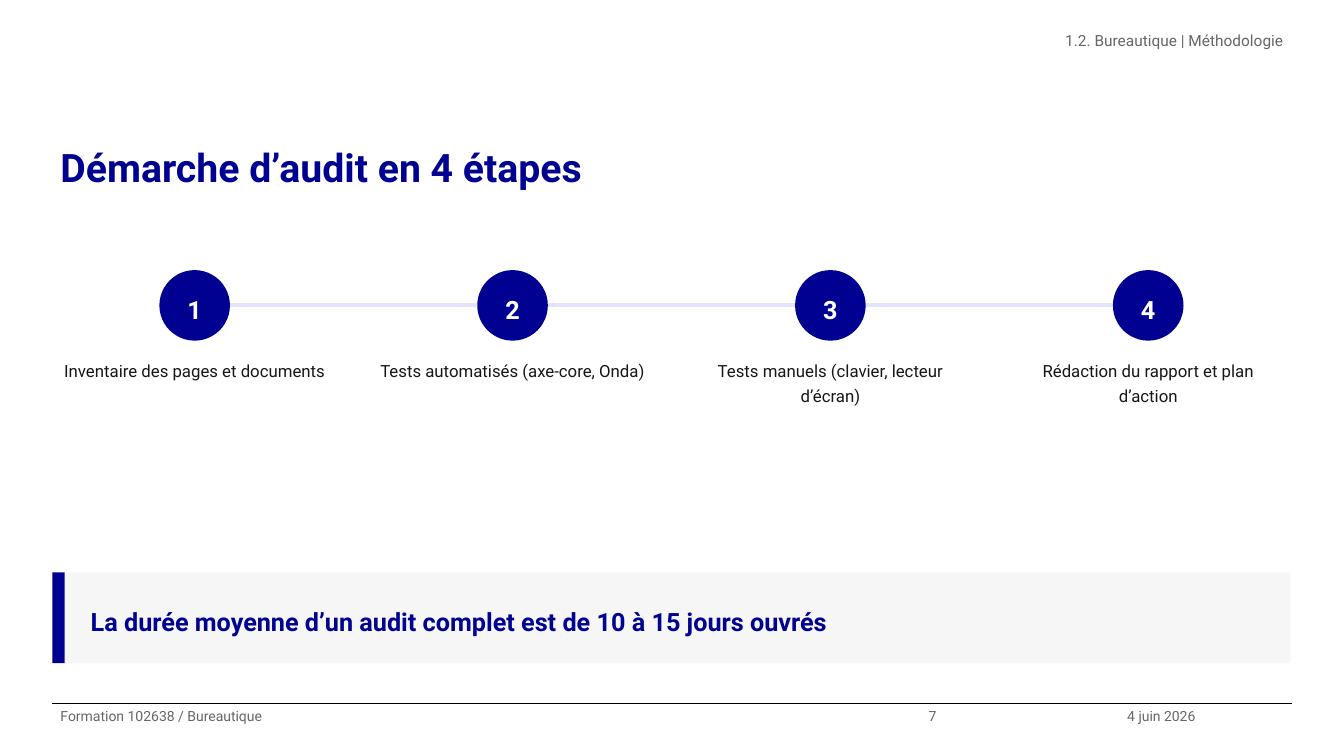
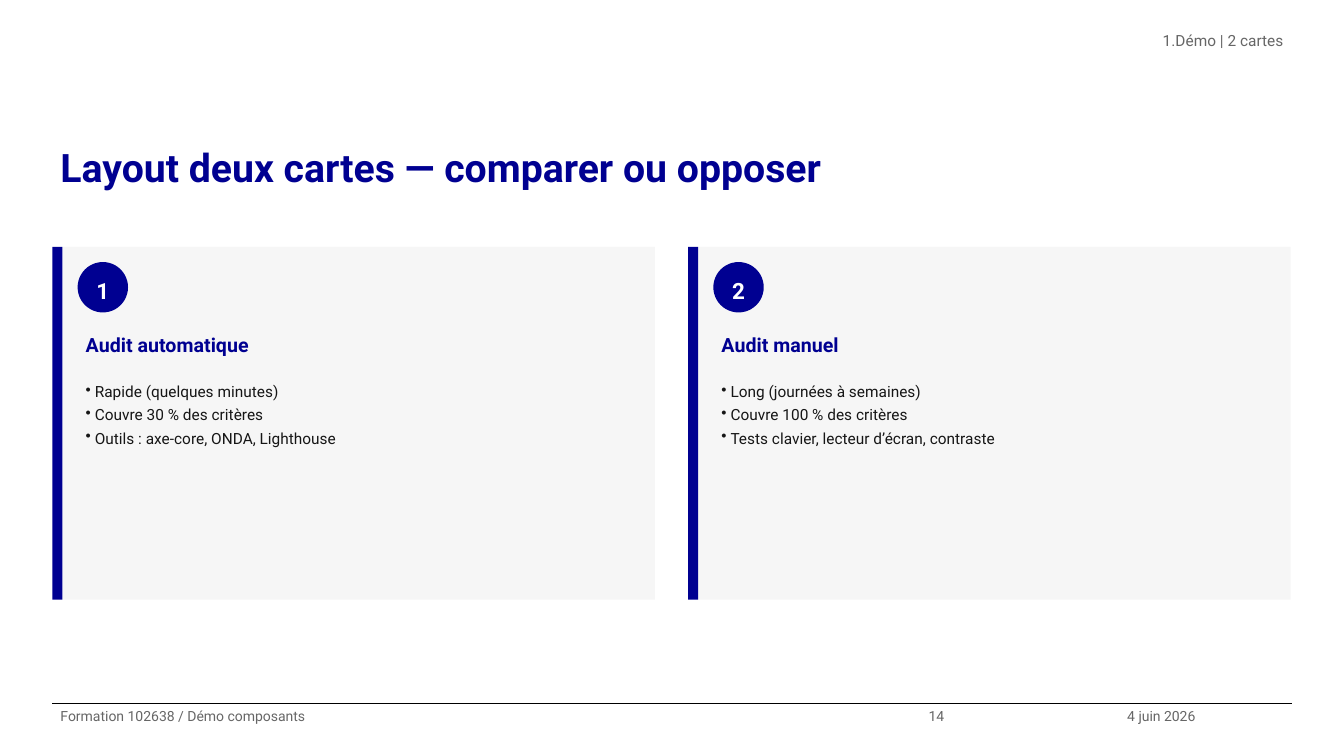
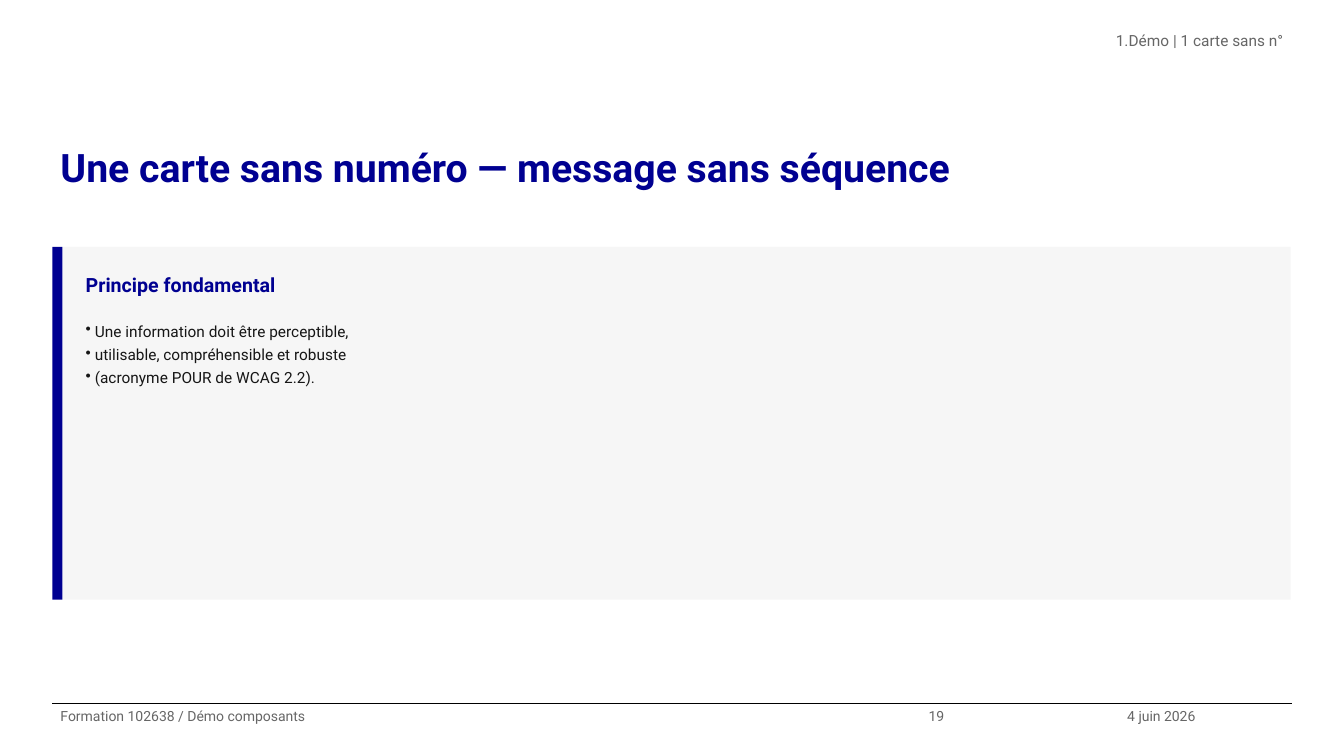
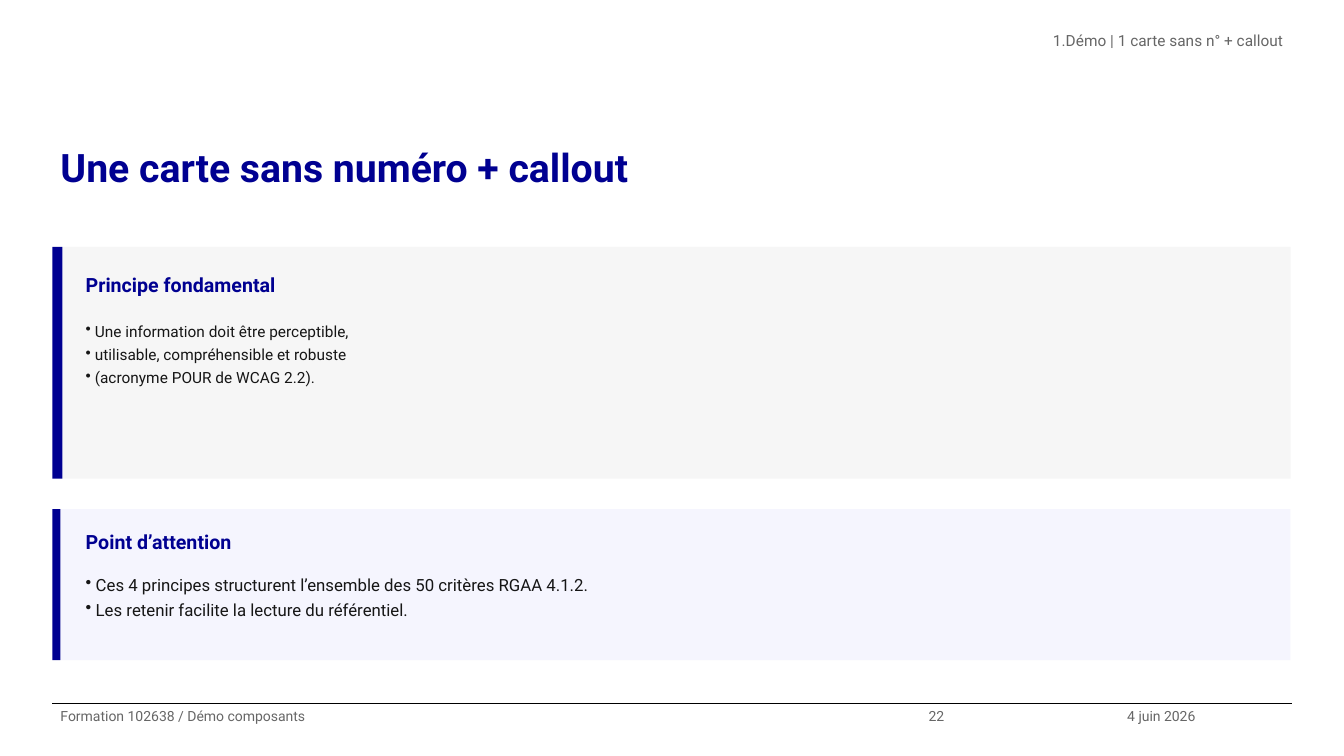
import pptx
import pptx.util
import pptx.dml.color
import pptx.enum.shapes
import pptx.enum.text
import pptx.oxml.ns
import lxml.etree

PX = 9144  # EMU per px, 100 px to the inch
SLIDE_W, SLIDE_H = 1333, 750
LEFT, CONTENT_W, GAP = 52, 1228, 33
CARD_TOP = 245
FONT = "Roboto"
COLORS = {
    "blue": "000091", "pale_blue": "E3E3FD", "panel": "F6F6F6",
    "callout": "F5F5FE", "text": "161616", "grey": "666666",
    "white": "FFFFFF", "black": "000000",
}
DATE = "4 juin 2026"
DEMO = "Formation 102638 / Démo composants"
PRINCIPLE = {
    "heading": "Principe fondamental",
    "points": ["Une information doit être perceptible,",
               "utilisable, compréhensible et robuste",
               "(acronyme POUR de WCAG 2.2)."],
}

SLIDES = [
    {"title": "Démarche d’audit en 4 étapes",
     "section": "2. Bureautique | Méthodologie",
     "footer": "Formation 102638 / Bureautique", "page": 7,
     "steps": ["Inventaire des pages et documents",
               "Tests automatisés (axe-core, Onda)",
               "Tests manuels (clavier, lecteur d’écran)",
               "Rédaction du rapport et plan d’action"],
     "key_message": "La durée moyenne d’un audit complet est de 10 à 15 jours ouvrés"},
    {"title": "Layout deux cartes — comparer ou opposer",
     "section": "Démo | 2 cartes", "footer": DEMO, "page": 14,
     "card_h": 350, "numbered": True,
     "cards": [
         {"heading": "Audit automatique",
          "points": ["Rapide (quelques minutes)", "Couvre 30 % des critères",
                     "Outils : axe-core, ONDA, Lighthouse"]},
         {"heading": "Audit manuel",
          "points": ["Long (journées à semaines)", "Couvre 100 % des critères",
                     "Tests clavier, lecteur d’écran, contraste"]}]},
    {"title": "Une carte sans numéro — message sans séquence",
     "section": "Démo | 1 carte sans n°", "footer": DEMO, "page": 19,
     "card_h": 350, "cards": [PRINCIPLE]},
    {"title": "Une carte sans numéro + callout",
     "section": "Démo | 1 carte sans n° + callout", "footer": DEMO, "page": 22,
     "card_h": 230, "cards": [PRINCIPLE],
     "callout": {
         "heading": "Point d’attention",
         "points": ["Ces 4 principes structurent l’ensemble des 50 critères RGAA 4.1.2.",
                    "Les retenir facilite la lecture du référentiel."]}},
]

ALIGN = pptx.enum.text.PP_ALIGN
ANCHOR = pptx.enum.text.MSO_ANCHOR
SHAPE = pptx.enum.shapes.MSO_SHAPE


def emu(*lengths):
    return [round(length * PX) for length in lengths]


def rgb(color):
    return pptx.dml.color.RGBColor.from_string(COLORS[color])


def add_marker(paragraph, tag, indent, **attributes):
    """Give a paragraph a hanging bullet or number."""
    props = paragraph._p.get_or_add_pPr()
    props.set("marL", str(indent * PX))
    props.set("indent", str(-indent * PX))
    marker = lxml.etree.SubElement(props, pptx.oxml.ns.qn(tag))
    for key, value in attributes.items():
        marker.set(key, value)


def write(shape, lines, size, color, bold=False, align=ALIGN.LEFT,
          anchor=ANCHOR.TOP, pad=5, marker=None):
    frame = shape.text_frame
    frame.word_wrap = True
    frame.vertical_anchor = anchor
    frame.margin_left, frame.margin_right, frame.margin_top, frame.margin_bottom = emu(8, 8, pad, pad)
    for i, line in enumerate(lines):
        paragraph = frame.add_paragraph() if i else frame.paragraphs[0]
        paragraph.text = line
        paragraph.alignment = align
        paragraph.line_spacing = 1.25
        if marker:
            add_marker(paragraph, **marker)
        font = paragraph.font
        font.name, font.size, font.bold = FONT, pptx.util.Pt(size), bold
        font.color.rgb = rgb(color)


def add_text(slide, box, lines, size, color, **style):
    write(slide.shapes.add_textbox(*emu(*box)), lines, size, color, **style)


def add_points(slide, box, points, size):
    add_text(slide, box, points, size, "text",
             marker={"tag": "a:buChar", "indent": 9 if size < 12 else 10, "char": "•"})


def add_block(slide, kind, box, fill):
    block = slide.shapes.add_shape(kind, *emu(*box))
    block.shadow.inherit = False
    block.fill.solid()
    block.fill.fore_color.rgb = rgb(fill)
    block.line.fill.background()
    return block


def add_badge(slide, x, y, diameter, number, size):
    badge = add_block(slide, SHAPE.OVAL, (x, y, diameter, diameter), "blue")
    write(badge, [str(number)], size, "white", bold=True,
          align=ALIGN.CENTER, anchor=ANCHOR.MIDDLE)


def add_panel(slide, x, y, w, h, bar, fill):
    add_block(slide, SHAPE.RECTANGLE, (x + bar, y, w - bar, h), fill)
    add_block(slide, SHAPE.RECTANGLE, (x, y, bar, h), "blue")


def add_line(slide, x1, x2, y, color, width):
    line = slide.shapes.add_connector(
        pptx.enum.shapes.MSO_CONNECTOR.STRAIGHT, *emu(x1, y, x2, y))
    line.line.color.rgb = rgb(color)
    line.line.width = pptx.util.Pt(width)
    lxml.etree.SubElement(line._element.spPr, pptx.oxml.ns.qn("a:effectLst"))


def columns(count):
    """Left edges and shared width of equal columns."""
    width = (CONTENT_W - GAP * (count - 1)) / count
    return [LEFT + i * (width + GAP) for i in range(count)], width


def add_frame(slide, content):
    """Title, section label and footer common to all slides."""
    add_line(slide, LEFT, 1281, 698, "black", 0.8)
    add_text(slide, (LEFT, 131, CONTENT_W, 105), [content["title"]], 28, "blue", bold=True, pad=0)
    add_text(slide, (483, 26, 798, 52), [content["section"]], 11, "grey",
             align=ALIGN.RIGHT, pad=0,
             marker={"tag": "a:buAutoNum", "indent": 12, "type": "arabicPeriod"})
    for x, w, label in ((LEFT, 861, content["footer"]),
                        (913, 197, str(content["page"])), (1110, 171, DATE)):
        add_text(slide, (x, 698, w, 52), [label], 10, "grey", pad=0)


def add_steps(slide, steps):
    top, diameter = 268, 70
    lefts, width = columns(len(steps))
    circles = [x + (width - diameter) / 2 for x in lefts]
    for start, end in zip(circles, circles[1:]):
        add_line(slide, start + diameter, end, top + diameter / 2, "pale_blue", 2.88)
    for number, (x, circle, step) in enumerate(zip(lefts, circles, steps), 1):
        add_badge(slide, circle, top, diameter, number, 18)
        add_text(slide, (x, top + 80, width, 200), [step], 12, "text", align=ALIGN.CENTER)


def add_key_message(slide, message):
    add_panel(slide, LEFT, 568, CONTENT_W, 90, 12, "panel")
    add_text(slide, (82, 578, 1188, 70), [message], 18, "blue", bold=True, anchor=ANCHOR.MIDDLE)


def add_cards(slide, cards, height, numbered):
    lefts, width = columns(len(cards))
    for number, (x, card) in enumerate(zip(lefts, cards), 1):
        add_panel(slide, x, CARD_TOP, width, height, 10, "panel")
        text_x, text_w, y = x + 25, width - 40, CARD_TOP + 15
        if numbered:
            add_badge(slide, text_x, y, 50, number, 16)
            y += 60
        add_text(slide, (text_x, y, text_w, 45), [card["heading"]], 14, "blue", bold=True)
        add_points(slide, (text_x, y + 50, text_w, CARD_TOP + height - 15 - y - 50),
                   card["points"], 11)


def add_callout(slide, callout):
    top = 505
    add_panel(slide, LEFT, top, CONTENT_W, 150, 8, "callout")
    add_text(slide, (77, top + 10, 1193, 40), [callout["heading"]], 14, "blue", bold=True)
    add_points(slide, (77, top + 55, 1193, 85), callout["points"], 12)


def main():
    deck = pptx.Presentation()
    deck.slide_width, deck.slide_height = emu(SLIDE_W, SLIDE_H)
    for content in SLIDES:
        slide = deck.slides.add_slide(deck.slide_layouts[6])
        add_frame(slide, content)
        if "steps" in content:
            add_steps(slide, content["steps"])
            add_key_message(slide, content["key_message"])
        if "cards" in content:
            add_cards(slide, content["cards"], content["card_h"], content.get("numbered", False))
        if "callout" in content:
            add_callout(slide, content["callout"])
    deck.save("out.pptx")


if __name__ == "__main__":
    main()
